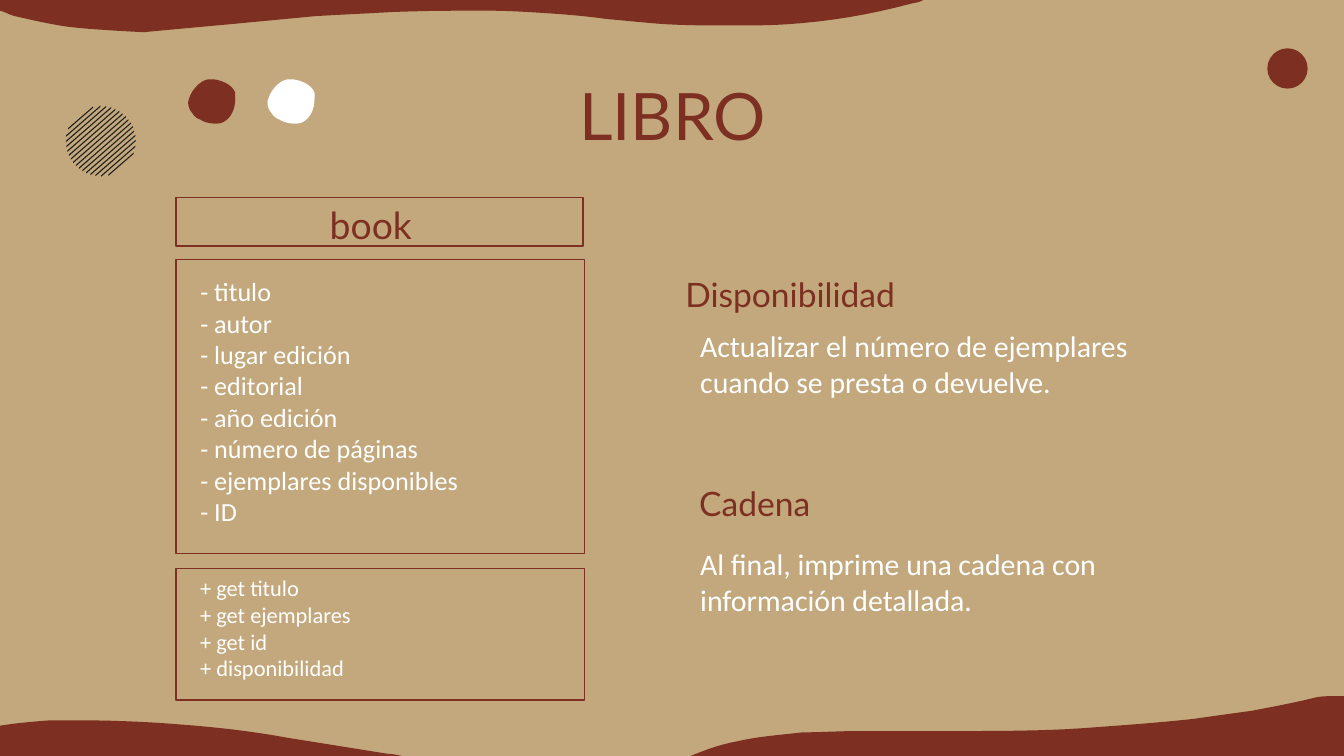
from dataclasses import dataclass
from math import atan2, cos, hypot, sin, sqrt

from pptx import Presentation
from pptx.dml.color import RGBColor
from pptx.enum.shapes import MSO_SHAPE
from pptx.enum.text import MSO_ANCHOR, PP_ALIGN
from pptx.util import Inches, Pt

# 16:9 page
WIDTH = 10
HEIGHT = WIDTH * 9 / 16


@dataclass(frozen=True)
class Theme:
    sand: str = "C2A87C"
    brick: str = "7D3021"
    white: str = "FFFFFF"
    ink: str = "191919"
    heading_font: str = "Lato"
    body_font: str = "Calibri"
    title: int = 35
    class_name: int = 20
    heading: int = 18
    body: int = 16
    field: int = 14
    method: int = 12
    border: float = 0.75


FRAME_FORMAT = {
    "word_wrap": True,
    "vertical_anchor": MSO_ANCHOR.MIDDLE,
    "margin_left": 0,
    "margin_right": 0,
    "margin_top": 0,
    "margin_bottom": 0,
}


def trace(start, curves, steps=8):
    """Points along a chain of cubic curves (x1, y1, x2, y2, x, y)."""
    points = [start]
    for x1, y1, x2, y2, x3, y3 in curves:
        x0, y0 = points[-1]
        for step in range(1, steps + 1):
            t = step / steps
            a, b, c, d = (1 - t) ** 3, 3 * t * (1 - t) ** 2, 3 * t * t * (1 - t), t ** 3
            points.append((a * x0 + b * x1 + c * x2 + d * x3,
                           a * y0 + b * y1 + c * y2 + d * y3))
    return points


class SlideBuilder:
    def __init__(self, slide, theme):
        self.slide = slide
        self.theme = theme
        background = slide.background.fill
        background.solid()
        background.fore_color.rgb = RGBColor.from_string(theme.sand)

    def fill(self, shape, color):
        shape.shadow.inherit = False
        shape.fill.solid()
        shape.fill.fore_color.rgb = RGBColor.from_string(color)
        shape.line.fill.background()

    def outline(self, points, color):
        start, *rest = [(Inches(x), Inches(y)) for x, y in points]
        builder = self.slide.shapes.build_freeform(*start)
        builder.add_line_segments(rest, close=True)
        self.fill(builder.convert_to_shape(), color)

    def dot(self, left, top, size, color):
        oval = self.slide.shapes.add_shape(
            MSO_SHAPE.OVAL, *map(Inches, (left, top, size, size)))
        self.fill(oval, color)

    def frame(self, *box):
        rect = self.slide.shapes.add_shape(MSO_SHAPE.RECTANGLE, *map(Inches, box))
        rect.shadow.inherit = False
        rect.fill.background()
        rect.line.color.rgb = RGBColor.from_string(self.theme.brick)
        rect.line.width = Pt(self.theme.border)

    def text(self, box, lines, size, font, color, align=PP_ALIGN.LEFT):
        text_frame = self.slide.shapes.add_textbox(*map(Inches, box)).text_frame
        for name, value in FRAME_FORMAT.items():
            setattr(text_frame, name, value)
        font_format = {"name": font, "size": Pt(size)}
        for index, line in enumerate(lines):
            paragraph = text_frame.add_paragraph() if index else text_frame.paragraphs[0]
            paragraph.alignment = align
            run = paragraph.add_run()
            run.text = line
            for name, value in font_format.items():
                setattr(run.font, name, value)
            run.font.color.rgb = RGBColor.from_string(color)

    def heading(self, box, line, size, align=PP_ALIGN.CENTER):
        self.text(box, [line], size, self.theme.heading_font, self.theme.brick, align)

    def body(self, box, lines, size):
        self.text(box, lines, size, self.theme.body_font, self.theme.white)

    def hatched_circle(self, center_x, center_y, radius, count, step_x, step_y, thickness):
        gap = hypot(step_x, step_y)
        angle = atan2(step_x, step_y)
        for index in range(count):
            place = index - (count - 1) / 2
            half = sqrt(radius ** 2 - (place * gap) ** 2)
            x, y = center_x + place * step_x, center_y + place * step_y
            dx, dy = half * cos(angle), half * sin(angle)
            edge = thickness / 2
            self.outline([(x - dx, y + dy - edge), (x + dx, y - dy - edge),
                          (x + dx, y - dy + edge), (x - dx, y + dy + edge)],
                         self.theme.ink)


# Curves of the decoration
TOP_WAVE = trace((6.87, 0), [
    (6.84, 0.02, 6.81, 0.02, 6.77, 0.03), (6.47, 0.11, 6.17, 0.16, 5.87, 0.18),
    (5.73, 0.19, 5.59, 0.19, 5.45, 0.19), (5.24, 0.19, 5.02, 0.19, 4.82, 0.17),
    (4.71, 0.16, 4.6, 0.15, 4.5, 0.14), (4.36, 0.12, 4.23, 0.11, 4.09, 0.1),
    (3.94, 0.09, 3.78, 0.08, 3.63, 0.08), (3.39, 0.08, 3.16, 0.08, 2.92, 0.09),
    (2.73, 0.1, 2.54, 0.11, 2.35, 0.12), (2.14, 0.14, 1.93, 0.16, 1.72, 0.18),
    (1.5, 0.2, 1.28, 0.22, 1.07, 0.24), (0.88, 0.23, 0.69, 0.22, 0.51, 0.2),
    (0.37, 0.18, 0.24, 0.15, 0.11, 0.12), (0.07, 0.11, 0.04, 0.09, 0, 0.08),
]) + [(0, 0)]
RIGHT_WAVE = trace((9.94, 5.18), [
    (9.89, 5.18, 9.84, 5.18, 9.79, 5.19), (9.63, 5.23, 9.47, 5.26, 9.31, 5.29),
    (9.16, 5.31, 9.02, 5.33, 8.88, 5.35), (8.6, 5.38, 8.32, 5.4, 8.04, 5.42),
    (7.74, 5.44, 7.44, 5.44, 7.14, 5.44), (6.89, 5.44, 6.64, 5.44, 6.39, 5.44),
    (6.25, 5.44, 6.11, 5.45, 5.97, 5.45), (5.8, 5.47, 5.64, 5.48, 5.47, 5.52),
    (5.36, 5.54, 5.25, 5.58, 5.14, HEIGHT),
]) + [(WIDTH, HEIGHT), (WIDTH, 5.18)]
LEFT_WAVE = trace((0, 5.4), [
    (0.12, 5.38, 0.25, 5.37, 0.37, 5.36), (0.44, 5.36, 0.51, 5.36, 0.58, 5.36),
    (0.83, 5.36, 1.08, 5.37, 1.33, 5.39), (1.6, 5.41, 1.87, 5.44, 2.14, 5.49),
    (2.39, 5.53, 2.64, 5.57, 2.89, 5.61), (2.93, 5.61, 2.96, 5.62, 2.99, HEIGHT),
]) + [(0, HEIGHT)]
PEBBLE = trace((0.17, 0), [
    (0.17, 0, 0.16, 0, 0.15, 0), (0.08, 0.01, 0.01, 0.1, 0, 0.17),
    (0, 0.2, 0.01, 0.23, 0.03, 0.25), (0.04, 0.27, 0.06, 0.29, 0.09, 0.3),
    (0.12, 0.32, 0.16, 0.33, 0.2, 0.33), (0.22, 0.33, 0.24, 0.33, 0.26, 0.32),
    (0.32, 0.29, 0.35, 0.22, 0.35, 0.15), (0.35, 0.14, 0.35, 0.12, 0.35, 0.1),
    (0.33, 0.04, 0.24, 0, 0.17, 0),
])


def main():
    theme = Theme()
    deck = Presentation()
    deck.slide_width, deck.slide_height = Inches(WIDTH), Inches(HEIGHT)
    page = SlideBuilder(deck.slides.add_slide(deck.slide_layouts[6]), theme)

    # Background decoration
    for wave in (TOP_WAVE, RIGHT_WAVE, LEFT_WAVE):
        page.outline(wave, theme.brick)
    page.dot(9.43, 0.36, 0.3, theme.brick)
    page.hatched_circle(0.75, 1.05, 0.26, 16, 0.02, 0.023, 0.01)

    # Class diagram: name, fields, methods
    page.frame(1.31, 1.93, 3.04, 2.19)
    page.frame(1.31, 1.47, 3.03, 0.36)
    page.frame(1.31, 4.23, 3.04, 0.98)
    page.heading((0.79, 0.59, 8.43, 0.52), "LIBRO", theme.title)
    methods = ("get titulo", "get ejemplares", "get id", "disponibilidad")
    page.body((1.49, 4.18, 2.4, 0.98), [f"+ {method}" for method in methods], theme.method)
    page.heading((1.98, 1.51, 1.56, 0.32), "book", theme.class_name)
    fields = ("titulo", "autor", "lugar edición", "editorial", "año edición",
              "número de páginas", "ejemplares disponibles", "ID")
    page.body((1.49, 2.05, 2.82, 1.87), [f"- {field}" for field in fields], theme.field)

    # Explanations
    page.heading((4.65, 1.91, 2.46, 0.55), "Disponibilidad", theme.heading)
    page.body((5.21, 2.4, 3.35, 0.61),
              ["Actualizar el número de ejemplares cuando se presta o devuelve."], theme.body)
    page.heading((5.1, 3.6, 0.93, 0.29), "Cadena", theme.heading, PP_ALIGN.RIGHT)
    page.body((5.21, 4.02, 3.55, 0.61),
              ["Al final, imprime una cadena con información detallada."], theme.body)

    # Pebbles beside the title
    for left, color in ((1.4, theme.brick), (1.99, theme.white)):
        page.outline([(left + x, 0.59 + y) for x, y in PEBBLE], color)

    deck.save("out.pptx")


if __name__ == "__main__":
    main()
